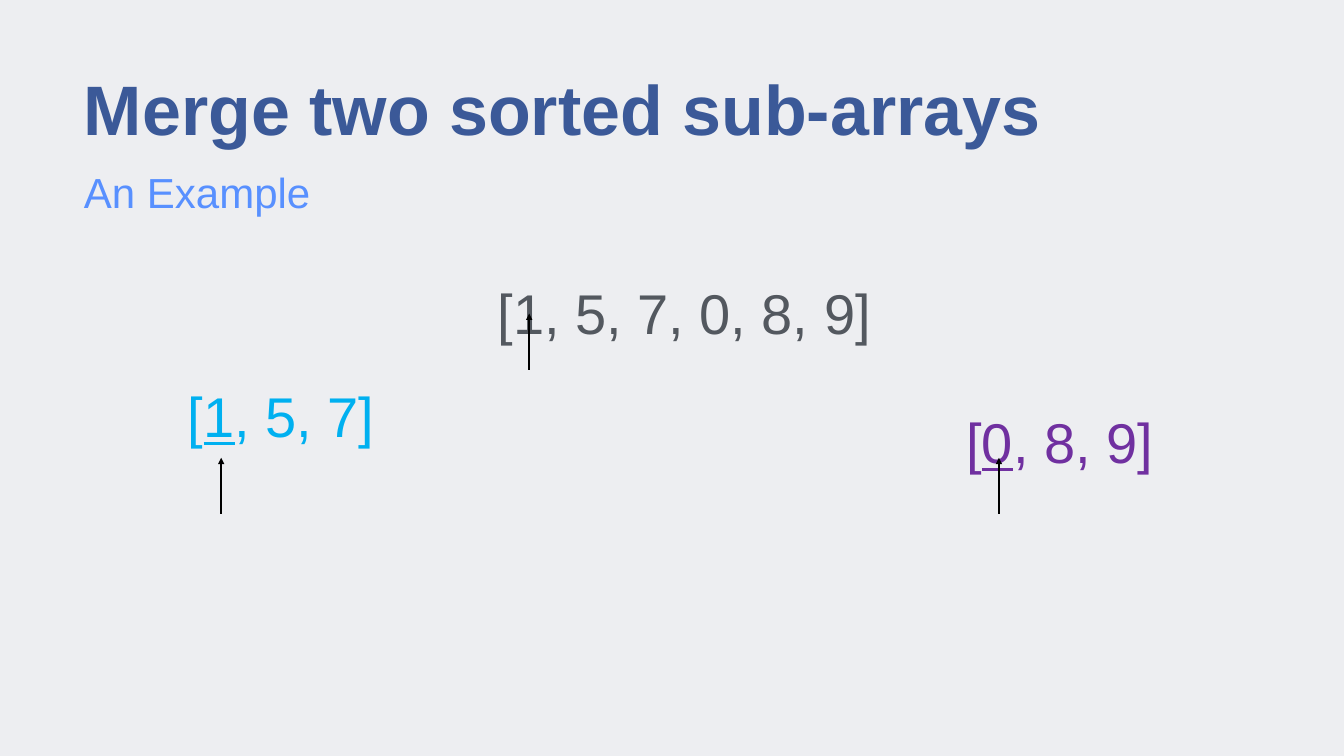
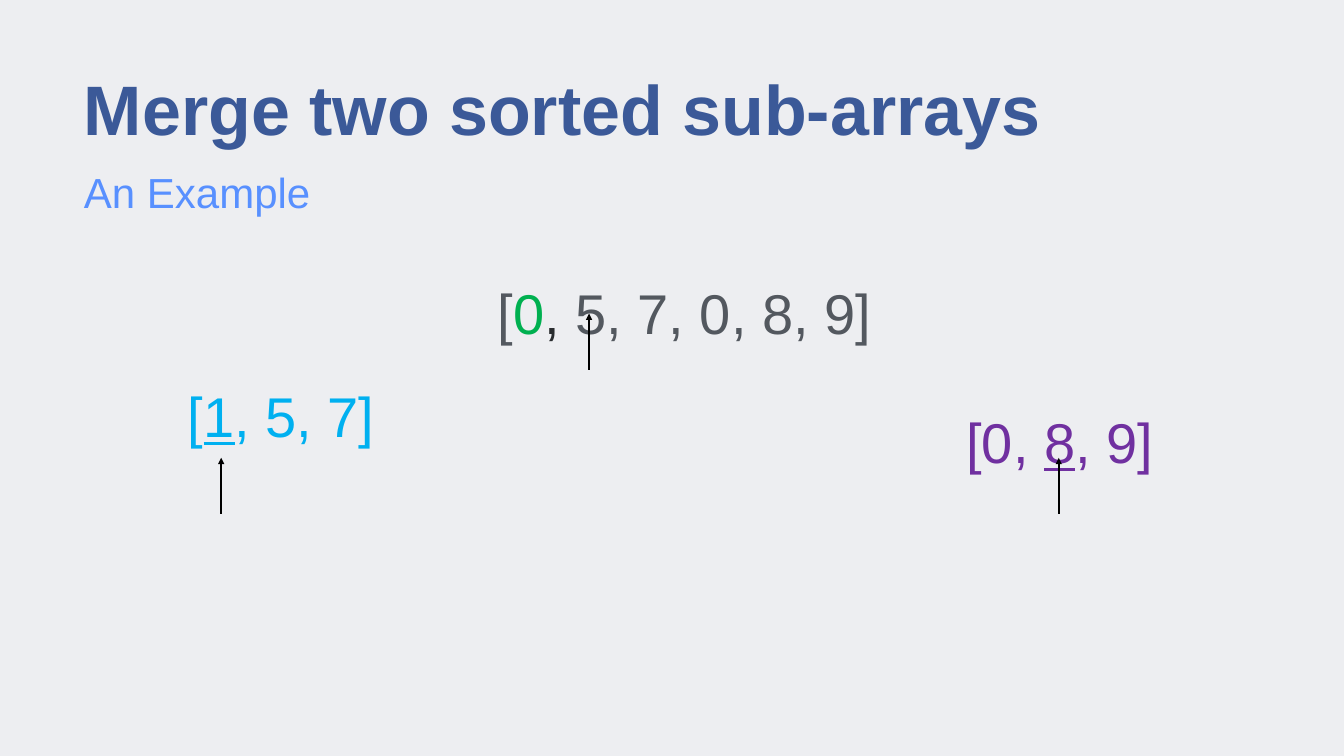
from lxml import etree
from pptx import Presentation
from pptx.dml.color import RGBColor
from pptx.enum.shapes import MSO_CONNECTOR
from pptx.enum.text import MSO_ANCHOR, MSO_AUTO_SIZE, PP_ALIGN
from pptx.oxml.ns import qn
from pptx.util import Pt

STRAIGHT = MSO_CONNECTOR.STRAIGHT
TOP, MIDDLE = MSO_ANCHOR.TOP, MSO_ANCHOR.MIDDLE
LEFT, CENTER = PP_ALIGN.LEFT, PP_ALIGN.CENTER
NO_AUTOFIT = MSO_AUTO_SIZE.NONE

FONT = "Arial"
COLORS = {
    "background": "EDEEF1",
    "title": "3B5998",
    "subtitle": "5890FF",
    "merged": "53585F",
    "placed": "00B050",
    "comma": "292C2F",
    "left": "00B0F0",
    "right": "7030A0",
    "arrow": "000000",
}

# Boxes are left, top, width, height in points.
TITLE_BOX = (120, 82, 1680, 145)
SUBTITLE_BOX = (120, 230, 1680, 88)
MERGED_BOX = (120, 338, 1716, 190)
LEFT_BOX = (181, 528, 442, 107)
RIGHT_BOX = (1228, 528, 572, 145)

ARRAY_SIZE = 80
ARRAY_INSET = 12
ITEM_STEP = 85.5
ARROW_LENGTH = 80

# Each step: merged items, number already placed, left index, right index.
STEPS = [
    ([1, 5, 7, 0, 8, 9], 0, 0, 0),
    ([0, 5, 7, 0, 8, 9], 1, 0, 1),
]
LEFT_ITEMS = [1, 5, 7]
RIGHT_ITEMS = [0, 8, 9]


def rgb(name):
    return RGBColor.from_string(COLORS[name])


def format_font(font, size, color, bold=False, underline=False):
    font.name = FONT
    font.size = Pt(size)
    font.bold = bold
    font.underline = underline
    font.color.rgb = rgb(color)


def prepare_text(shape, box, anchor, align, spacing, inset_top=0):
    """Place a text shape and return its first paragraph."""
    shape.left, shape.top, shape.width, shape.height = map(Pt, box)
    frame = shape.text_frame
    frame.word_wrap = True
    frame.auto_size = NO_AUTOFIT
    frame.vertical_anchor = anchor
    frame.margin_left = frame.margin_right = frame.margin_bottom = 0
    frame.margin_top = Pt(inset_top)
    paragraph = frame.paragraphs[0]
    paragraph.alignment = align
    paragraph.line_spacing = spacing
    paragraph.space_before = Pt(0)
    return paragraph


def add_text_shape(slide, box):
    return slide.shapes.add_textbox(*map(Pt, box))


def add_heading(slide, title, subtitle):
    paragraph = prepare_text(slide.shapes.title, TITLE_BOX, TOP, LEFT, 1.1)
    paragraph.text = title
    format_font(paragraph.runs[0].font, 100, "title", bold=True)

    paragraph = prepare_text(add_text_shape(slide, SUBTITLE_BOX),
                             SUBTITLE_BOX, TOP, LEFT, 1.1)
    paragraph.text = subtitle
    format_font(paragraph.runs[0].font, 60, "subtitle")


def add_array(slide, box, anchor, spacing, segments):
    """Write an array as segments of text, color and underline."""
    paragraph = prepare_text(add_text_shape(slide, box), box, anchor,
                             CENTER, spacing, ARRAY_INSET)
    for text, color, underline in segments:
        run = paragraph.add_run()
        run.text = text
        format_font(run.font, ARRAY_SIZE, color, underline=underline)


def add_index_arrow(slide, box, first_item, drop, index):
    """Point up at an item; first_item and drop are offsets in the box."""
    x = box[0] + first_item + index * ITEM_STEP
    tip = box[1] + drop
    arrow = slide.shapes.add_connector(
        STRAIGHT, Pt(x), Pt(tip + ARROW_LENGTH), Pt(x), Pt(tip))
    arrow.line.color.rgb = rgb("arrow")
    arrow.line.width = Pt(3)
    etree.SubElement(arrow.line._get_or_add_ln(), qn("a:tailEnd"),
                     type="triangle")
    etree.SubElement(arrow._element.spPr, qn("a:effectLst"))


def join_items(items):
    return ", ".join(map(str, items))


def add_sub_array(slide, box, spacing, color, items, index, first_item):
    before = "[" + "".join(f"{item}, " for item in items[:index])
    after = "".join(f", {item}" for item in items[index + 1:]) + "]"
    add_array(slide, box, MIDDLE, spacing, [
        (before, color, False),
        (str(items[index]), color, True),
        (after, color, False),
    ])
    add_index_arrow(slide, box, first_item, 126, index)


def add_merged_array(slide, box, items, placed):
    segments = [("[", "merged", False)]
    for item in items[:placed]:
        segments += [(str(item), "placed", False), (", ", "comma", False)]
    segments.append((join_items(items[placed:]) + "]", "merged", False))
    add_array(slide, box, TOP, 1.5, segments)
    add_index_arrow(slide, box, 636, 110, placed)


def add_merge_slide(deck, merged, placed, left_index, right_index):
    slide = deck.slides.add_slide(deck.slide_layouts.get_by_name("Title Only"))
    add_heading(slide, "Merge two sorted sub-arrays", "An Example")
    add_merged_array(slide, MERGED_BOX, merged, placed)
    add_sub_array(slide, LEFT_BOX, 1.1, "left", LEFT_ITEMS, left_index, 135)
    add_sub_array(slide, RIGHT_BOX, 1.5, "right", RIGHT_ITEMS, right_index, 199)


def main():
    deck = Presentation()
    deck.slide_width, deck.slide_height = Pt(1920), Pt(1080)
    background = deck.slide_master.background.fill
    background.solid()
    background.fore_color.rgb = rgb("background")
    for step in STEPS:
        add_merge_slide(deck, *step)
    deck.save("out.pptx")


if __name__ == "__main__":
    main()
